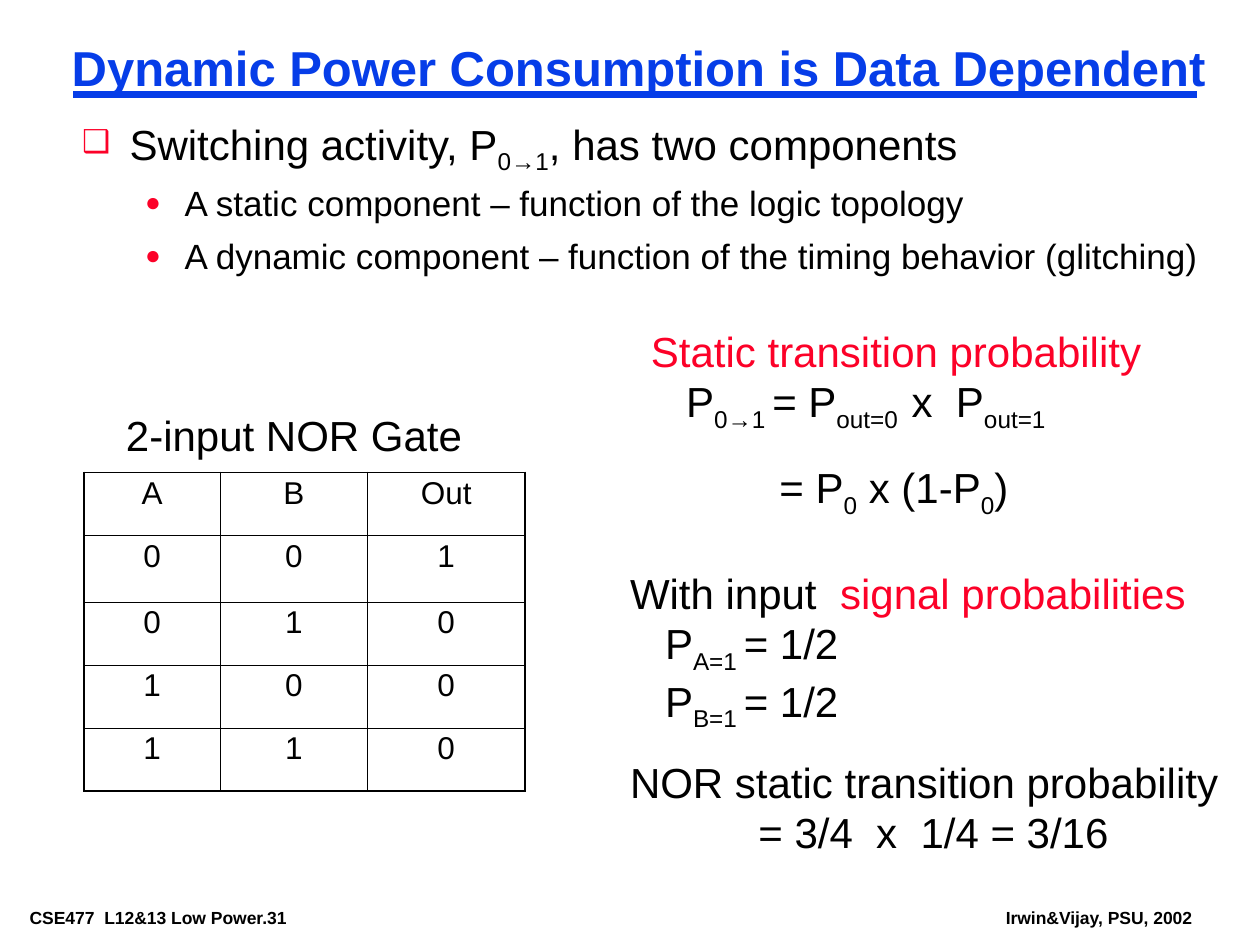
from dataclasses import dataclass
from lxml import etree
from pptx import Presentation
from pptx import util as u
from pptx.dml import color as c
from pptx.enum import shapes, text
from pptx.oxml import ns

Pt = u.Pt


@dataclass(frozen=True)
class Theme:
    font: str = "Arial"
    ink: str = "000000"
    blue: str = "063DE8"
    red: str = "FC0128"
    title: int = 28
    main: int = 24
    sub: int = 20
    cell: int = 18
    footer: int = 10
    thick: float = 1.08
    thin: float = 0.45


T = Theme()


def write(tf, content, size=T.main, color=T.ink, bold=False, align=text.PP_ALIGN.LEFT,
          spacing=1.0, before=0, left=0, hang=0, level=0, bullet=None, join=False):
    p = tf.paragraphs[-1]
    if not join:
        if p.runs:
            p = tf.add_paragraph()
        p.level, p.alignment, p.line_spacing = level, align, spacing
        p.space_before = Pt(before)
        pPr = p._p.get_or_add_pPr()
        pPr.set("marL", str(Pt(left)))
        pPr.set("indent", str(Pt(-hang)))
        if bullet:
            clr = etree.SubElement(pPr, ns.qn("a:buClr"))
            etree.SubElement(clr, ns.qn("a:srgbClr"), val=T.red)
            etree.SubElement(pPr, ns.qn("a:buSzPct"), val="75000")
            etree.SubElement(pPr, ns.qn("a:buFont"), typeface=T.font)
            etree.SubElement(pPr, ns.qn("a:buChar"), char=bullet)
    for i, part in enumerate(content.split("|")):
        if part:
            r = p.add_run()
            r.text = part
            r.font.name, r.font.size, r.font.bold = T.font, Pt(size), bold
            r.font.color.rgb = c.RGBColor.from_string(color)
            if i % 2:
                r._r.get_or_add_rPr().set("baseline", "-25000")


def frame(sp, box, inset=(0, 0)):
    sp.left, sp.top, sp.width, sp.height = map(Pt, box)
    tf = sp.text_frame
    tf.margin_left = tf.margin_right = Pt(inset[0])
    tf.margin_top = tf.margin_bottom = Pt(inset[1])
    tf.word_wrap = True
    tf.vertical_anchor = text.MSO_ANCHOR.TOP
    tf.auto_size = text.MSO_AUTO_SIZE.NONE
    return tf


prs = Presentation()
prs.slide_width, prs.slide_height = Pt(720), Pt(540)
s = prs.slides.add_slide(prs.slide_layouts[1])
inset = (5, 2)

for content, box in [
    ("CSE477  L12&13 Low Power.31", (12, 516.5, 194, 16)),
    ("Irwin&Vijay, PSU, 2002", (569.75, 516.5, 124, 16)),
]:
    tf = frame(s.shapes.add_textbox(0, 0, 0, 0), box, inset)
    write(tf, content, size=T.footer, bold=True)

rule = s.shapes.add_connector(shapes.MSO_CONNECTOR.STRAIGHT, Pt(42), Pt(54), Pt(684), Pt(54))
rule.line.color.rgb = c.RGBColor.from_string(T.blue)
rule.line.width = Pt(4.5)
etree.SubElement(rule._element.spPr, ns.qn("a:effectLst"))

tf = frame(s.shapes.title, (36, 24, 660, 33), inset)
write(tf, "Dynamic Power Consumption is Data Dependent",
      size=T.title, color=T.blue, bold=True, spacing=0.87)

tf = frame(s.placeholders[1], (42, 66, 654, 94), inset)
write(tf, "Switching activity, P|0→1|, has two components",
      spacing=0.9, left=27, hang=27, bullet="❑")
for content in ["A static component – function of the logic topology",
                "A dynamic component – function of the timing behavior (glitching)"]:
    write(tf, content, size=T.sub, spacing=0.85, before=10,
          left=58.5, hang=22.5, level=1, bullet="●")

rows = ["A B Out", "0 0 1", "0 1 0", "1 0 0", "1 1 0"]
widths = [78, 84, 90]
heights = [36, 38, 36, 36, 36]
table = s.shapes.add_table(len(rows), len(widths), Pt(48), Pt(270),
                           Pt(sum(widths)), Pt(sum(heights))).table
table.first_row = table.horz_banding = False
for col, width in zip(table.columns, widths):
    col.width = Pt(width)
for i, row in enumerate(rows):
    table.rows[i].height = Pt(heights[i])
    for j, content in enumerate(row.split()):
        cell = table.cell(i, j)
        write(cell.text_frame, content, size=T.cell, spacing=0.9, align=text.PP_ALIGN.CENTER)
        heavy = {"L": j == 0, "R": j == len(widths) - 1,
                 "T": i <= 1, "B": i in (0, len(rows) - 1)}
        for side, is_heavy in heavy.items():
            ln = etree.SubElement(cell._tc.get_or_add_tcPr(), ns.qn("a:ln" + side),
                                  w=str(Pt(T.thick if is_heavy else T.thin)))
            fill = etree.SubElement(ln, ns.qn("a:solidFill"))
            etree.SubElement(fill, ns.qn("a:srgbClr"), val=T.ink)
        cell.fill.background()

tf = frame(s.shapes.add_textbox(0, 0, 0, 0), (72, 234, 200, 29))
write(tf, "2-input NOR Gate")

step, deep = 20, 73.4

tf = frame(s.shapes.add_textbox(0, 0, 0, 0), (372, 186, 290, 111))
write(tf, "Static transition probability", color=T.red)
write(tf, "P|0→1 |= P|out=0  |x  P|out=1", left=step)
write(tf, "= P|0| x (1-P|0|)", left=deep, spacing=1.5)

tf = frame(s.shapes.add_textbox(0, 0, 0, 0), (360, 324.25, 326, 94))
write(tf, "With input  ")
write(tf, "signal probabilities", color=T.red, join=True)
for name in "AB":
    write(tf, f"P|{name}=1 |= 1/2", left=step)

tf = frame(s.shapes.add_textbox(0, 0, 0, 0), (360, 432.25, 345, 58))
write(tf, "NOR static transition probability")
write(tf, "= 3/4  x  1/4 = 3/16", left=deep)

prs.save("out.pptx")
